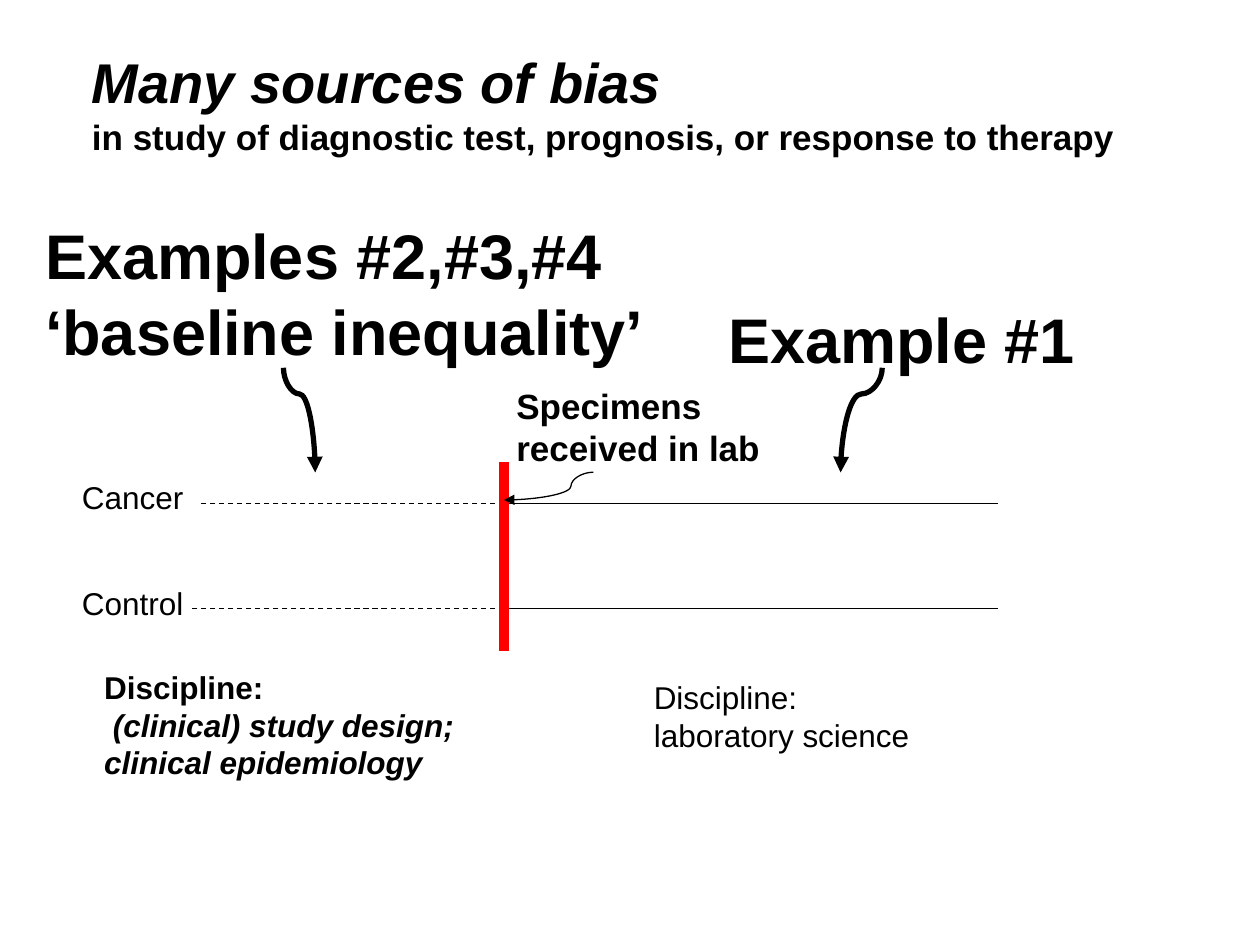
"""Build a slide on sources of bias before and after specimens reach the lab."""
from lxml.etree import SubElement
from pptx import Presentation
from pptx.dml.color import RGBColor
from pptx.enum.dml import MSO_LINE
from pptx.enum.shapes import MSO_CONNECTOR
from pptx.enum.text import MSO_ANCHOR, MSO_AUTO_SIZE, PP_ALIGN
from pptx.oxml.ns import qn
from pptx.util import Cm, Pt

COLORS = {"ink": "000000", "mark": "FF0000"}

deck = Presentation()
deck.slide_width, deck.slide_height = Cm(25.4), Cm(19.05)
slide = deck.slides.add_slide(deck.slide_layouts[5])


def write(shape, box, lines):
    shape.left, shape.top, shape.width, shape.height = [Cm(v) for v in box]
    frame = shape.text_frame
    frame.word_wrap = True
    frame.auto_size = MSO_AUTO_SIZE.NONE
    frame.vertical_anchor = MSO_ANCHOR.TOP
    frame.margin_right = 0
    for i, (text, size, bold, slant) in enumerate(lines):
        para = frame.add_paragraph() if i else frame.paragraphs[0]
        para.text = text
        para.alignment = PP_ALIGN.LEFT
        font = para.font
        font.name, font.size = "Arial", Pt(size)
        font.bold, font.italic = bold, slant
        font.color.rgb = RGBColor.from_string(COLORS["ink"])


def draw(kind, ends, width, color="ink"):
    line = slide.shapes.add_connector(kind, *[Cm(v) for v in ends])
    line.line.width = Pt(width)
    line.line.color.rgb = RGBColor.from_string(COLORS[color])
    SubElement(line._element.spPr, qn("a:effectLst"))
    return line


write(slide.shapes.title, (1.6, 0.84, 21.3, 2.46), [
    ("Many sources of bias", 32, True, True),
    ("in study of diagnostic test, prognosis, or response to therapy", 20, True, False),
])

lab = 10.16
for name, y, start in [("Cancer", 10.15, 4.01), ("Control", 12.27, 3.81)]:
    draw(MSO_CONNECTOR.STRAIGHT, (lab, y, 20.12, y), 0.75)
    before = draw(MSO_CONNECTOR.STRAIGHT, (lab, y, start, y), 0.75)
    before.line.dash_style = MSO_LINE.DASH
    label = slide.shapes.add_textbox(0, 0, 0, 0)
    write(label, (1.4, y - 0.63, 2.6, 1.02), [(name, 18, False, False)])

draw(MSO_CONNECTOR.STRAIGHT, (lab, 9.32, lab, 13.13), 6, "mark")

notes = [
    ((14.43, 5.94, 7.49, 1.78), [("Example #1", 36, True, False)]),
    ((0.66, 4.24, 12.57, 3.3), [
        ("Examples #2,#3,#4", 36, True, False),
        ("‘baseline inequality’", 36, True, False),
    ]),
    ((lab, 7.62, 5.5, 1.96), [
        ("Specimens", 20, True, False),
        ("received in lab", 20, True, False),
    ]),
    ((1.85, 13.34, 7.57, 2.54), [
        ("Discipline:", 18, True, False),
        (" (clinical) study design;\vclinical epidemiology", 18, True, True),
    ]),
    ((12.93, 13.54, 5.66, 1.78), [
        ("Discipline:", 18, False, False),
        ("laboratory science", 18, False, False),
    ]),
]
for box, lines in notes:
    write(slide.shapes.add_textbox(0, 0, 0, 0), box, lines)

arrows = [
    ((16.31, 8.05, 18.42, 8.89), 3, 90),
    ((7.09, 8.15, 4.98, 8.79), 3, 270),
    ((lab, 10.08, 11.96, 9.52), 0.75, 180),
]
for ends, width, turn in arrows:
    arrow = draw(MSO_CONNECTOR.CURVE, ends, width)
    props = arrow._element.spPr
    props.find(qn("a:xfrm")).set("rot", str(turn * 60000))
    guides = props.find(qn("a:prstGeom")).find(qn("a:avLst"))
    SubElement(guides, qn("a:gd"), name="adj1", fmla="val 25000")
    SubElement(props.find(qn("a:ln")), qn("a:tailEnd"), type="triangle")

deck.save("out.pptx")
